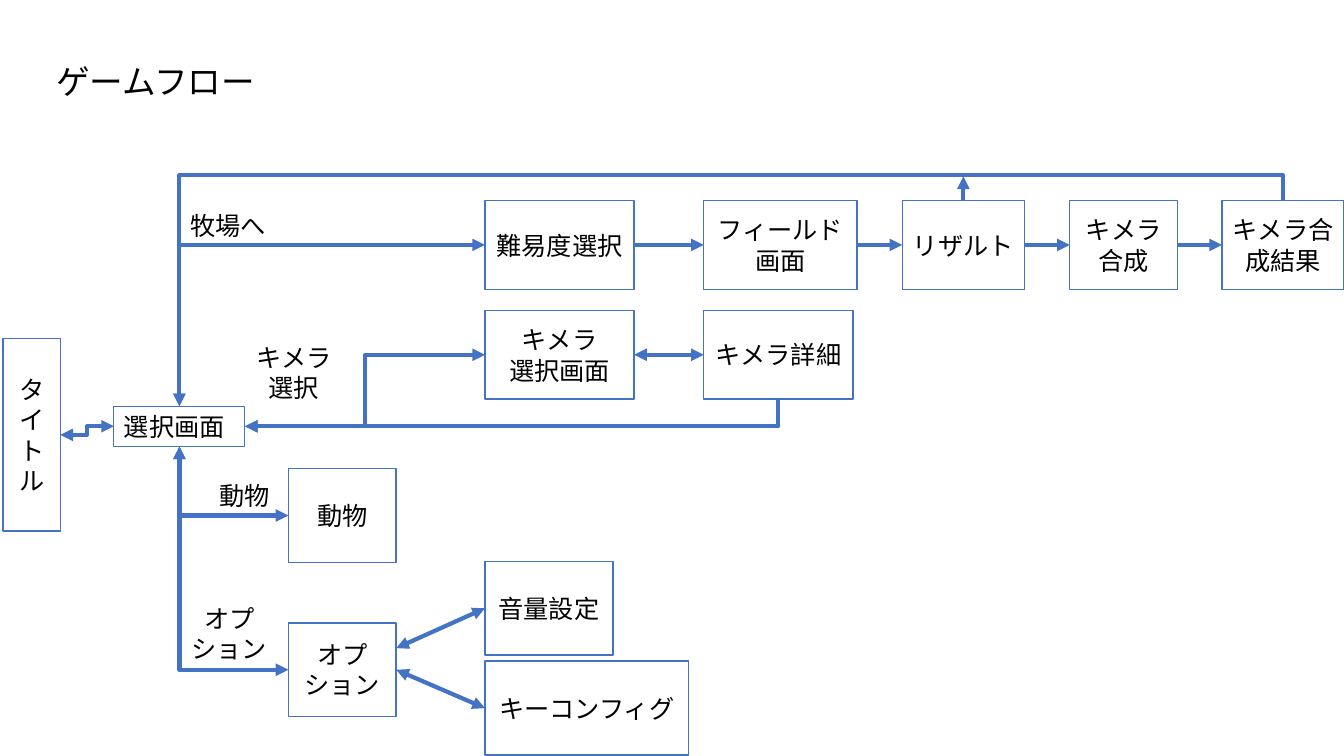
import pptx
import pptx.util
import pptx.dml.color
import pptx.enum.shapes
import pptx.enum.text
import pptx.oxml
import pptx.oxml.ns

Inches = pptx.util.Inches
BLACK = pptx.dml.color.RGBColor(0x00, 0x00, 0x00)
WHITE = pptx.dml.color.RGBColor(0xFF, 0xFF, 0xFF)
BLUE = pptx.dml.color.RGBColor(0x44, 0x72, 0xC4)
FONT = "Noto Sans CJK JP"
CENTER = pptx.enum.text.PP_ALIGN.CENTER
LEFT = pptx.enum.text.PP_ALIGN.LEFT
MIDDLE = pptx.enum.text.MSO_ANCHOR.MIDDLE
TOP_ANCHOR = pptx.enum.text.MSO_ANCHOR.TOP
STRAIGHT = pptx.enum.shapes.MSO_CONNECTOR.STRAIGHT
ELBOW = pptx.enum.shapes.MSO_CONNECTOR.ELBOW
TOP, LEFT_SIDE, BOTTOM, RIGHT_SIDE = range(4)  # connection sites of a rectangle
ROW_HEIGHT = 0.88
SMALL_WIDTH, SMALL_HEIGHT = 1.07, 0.93


def add_element(parent, tag, **attributes):
    child = pptx.oxml.parse_xml(f"<a:{tag} {pptx.oxml.ns.nsdecls('a')}/>")
    for name, value in attributes.items():
        child.set(name, value)
    parent.append(child)


def write_text(shape, text, size=18, align=CENTER, anchor=MIDDLE, spacing=None):
    frame = shape.text_frame
    frame.word_wrap = True
    frame.vertical_anchor = anchor
    for index, line in enumerate(text.split("\n")):
        para = frame.add_paragraph() if index else frame.paragraphs[0]
        para.alignment = align
        para.line_spacing = spacing
        span = para.add_run()
        span.text = line
        span.font.size = pptx.util.Pt(size)
        span.font.name = FONT
        span.font.color.rgb = BLACK
        add_element(span.font._element, "ea", typeface=FONT)


def add_label(page, text, left, top, width, height, **text_format):
    box = page.shapes.add_textbox(*map(Inches, (left, top, width, height)))
    write_text(box, text, **text_format)


def add_screen(page, text, left, top, width, height, border=1, **text_format):
    screen = page.shapes.add_shape(
        pptx.enum.shapes.MSO_SHAPE.RECTANGLE, *map(Inches, (left, top, width, height)))
    screen.shadow.inherit = False
    screen.fill.solid()
    screen.fill.fore_color.rgb = WHITE
    screen.line.color.rgb = BLUE
    screen.line.width = pptx.util.Pt(border)
    write_text(screen, text, **text_format)
    return screen


def style_arrow(arrow, heads):
    arrow.line.color.rgb = BLUE
    arrow.line.width = pptx.util.Pt(3)
    outline = arrow.line._get_or_add_ln()
    if heads in ("begin", "both"):
        add_element(outline, "headEnd", type="triangle")
    if heads in ("end", "both"):
        add_element(outline, "tailEnd", type="triangle")
    add_element(arrow._element.spPr, "effectLst")


def add_arrow(page, start, end, heads="end"):
    """Draw a straight arrow between two points in inches."""
    arrow = page.shapes.add_connector(STRAIGHT, *map(Inches, (*start, *end)))
    style_arrow(arrow, heads)
    return arrow


def connect(page, source, source_site, target, target_site, heads="end",
            kind=STRAIGHT, corner=False):
    """Join two screens; corner gives one bend, horizontal part first."""
    arrow = page.shapes.add_connector(kind, 0, 0, 0, 0)
    arrow.begin_connect(source, source_site)
    arrow.end_connect(target, target_site)
    if corner:
        arrow._element.spPr.find(pptx.oxml.ns.qn("a:prstGeom")).set("prst", "bentConnector2")
    style_arrow(arrow, heads)


def add_return_loop(page, source, target, rise):
    """Lead from the top of source, up by rise, over and down to the top of target."""
    arrow = page.shapes.add_connector(ELBOW, 0, 0, 0, 0)
    arrow.begin_connect(source, TOP)
    arrow.end_connect(target, TOP)
    drop, span = arrow.end_y - arrow.begin_y, arrow.begin_x - arrow.end_x
    center_x = (arrow.begin_x + arrow.end_x) // 2
    center_y = (arrow.begin_y + arrow.end_y) // 2
    arrow.left, arrow.top = center_x - drop // 2, center_y - span // 2
    arrow.width, arrow.height = drop, span
    frame = arrow._element.spPr.find(pptx.oxml.ns.qn("a:xfrm"))
    for name, value in (("rot", "16200000"), ("flipH", "1"), ("flipV", "1")):
        frame.set(name, value)
    guides = arrow._element.spPr.find(".//" + pptx.oxml.ns.qn("a:avLst"))
    ratio = round(-100000 * Inches(rise) / drop)
    add_element(guides, "gd", name="adj1", fmla=f"val {ratio}")
    style_arrow(arrow, "end")


def draw_start(page, left, top):
    opening = add_screen(page, "タイトル", left, top, 0.57, 1.91)
    menu = add_screen(page, "選択画面", left + 1.1, top + 0.67, 1.3, 0.4,
                      border=0.75, align=LEFT, anchor=TOP_ANCHOR)
    connect(page, opening, RIGHT_SIDE, menu, LEFT_SIDE, "both", ELBOW)
    return menu


def draw_ranch_row(page, menu, left, top):
    add_label(page, "牧場へ", left - 3.08, top + 0.05, SMALL_WIDTH, 0.4)
    steps = (("難易度選択", 0, 1.48), ("フィールド画面", 2.17, 1.52), ("リザルト", 4.14, 1.21),
             ("キメラ合成", 5.8, 1.07), ("キメラ合成結果", 7.31, 1.21))
    screens = [add_screen(page, text, left + offset, top, width, ROW_HEIGHT)
               for text, offset, width in steps]
    for source, target in zip(screens, screens[1:]):
        connect(page, source, RIGHT_SIDE, target, LEFT_SIDE)
    connect(page, screens[0], LEFT_SIDE, menu, TOP, "both", ELBOW, corner=True)
    add_return_loop(page, screens[-1], menu, 0.25)
    result_center = left + 4.14 + 1.21 / 2
    add_arrow(page, (result_center, top), (result_center, top - 0.24))


def draw_chimera_row(page, menu, left, top):
    add_label(page, "キメラ選択", left - 2.43, top + 0.23, SMALL_WIDTH, 0.77)
    choice, detail = [
        add_screen(page, text, left + offset, top, 1.48, ROW_HEIGHT)
        for text, offset in (("キメラ\n選択画面", 0), ("キメラ詳細", 2.17))]
    connect(page, choice, RIGHT_SIDE, detail, LEFT_SIDE, "both")
    connect(page, menu, RIGHT_SIDE, choice, LEFT_SIDE, "both", ELBOW)
    connect(page, menu, RIGHT_SIDE, detail, BOTTOM, "begin", ELBOW, corner=True)


def draw_animals(page, menu, left, top):
    add_label(page, "動物", left - 0.97, top + 0.02, SMALL_WIDTH, 0.48)
    animals = add_screen(page, "動物", left, top, SMALL_WIDTH, SMALL_HEIGHT)
    connect(page, animals, LEFT_SIDE, menu, BOTTOM, "both", ELBOW, corner=True)


def draw_options(page, menu, left, top):
    add_label(page, "オプション", left - 1.12, top - 0.36, SMALL_WIDTH, SMALL_HEIGHT)
    options = add_screen(page, "オプション", left, top, SMALL_WIDTH, SMALL_HEIGHT)
    volume_top = top - 0.61
    add_screen(page, "音量設定", left + 1.95, volume_top, 1.27, SMALL_HEIGHT)
    keys = add_screen(page, "キーコンフィグ", left + 1.95, top + 0.38, 2.02, SMALL_HEIGHT)
    connect(page, options, LEFT_SIDE, menu, BOTTOM, "both", ELBOW, corner=True)
    add_arrow(page, (left + SMALL_WIDTH, top + 0.25),
              (left + 1.95, volume_top + SMALL_HEIGHT / 2), "both")
    connect(page, options, RIGHT_SIDE, keys, LEFT_SIDE, "both")


def main():
    deck = pptx.Presentation()
    deck.slide_width, deck.slide_height = Inches(13.33), Inches(7.5)
    page = deck.slides.add_slide(deck.slide_layouts[6])
    add_label(page, "ゲームフロー", 0.46, 0.36, 2.65, 0.93, size=24, align=LEFT, spacing=0.9)
    menu = draw_start(page, 0.03, 3.36)
    draw_ranch_row(page, menu, 4.81, 1.99)
    draw_chimera_row(page, menu, 4.81, 3.08)
    draw_animals(page, menu, 2.86, 4.65)
    draw_options(page, menu, 2.86, 6.18)
    deck.save("out.pptx")


if __name__ == "__main__":
    main()
